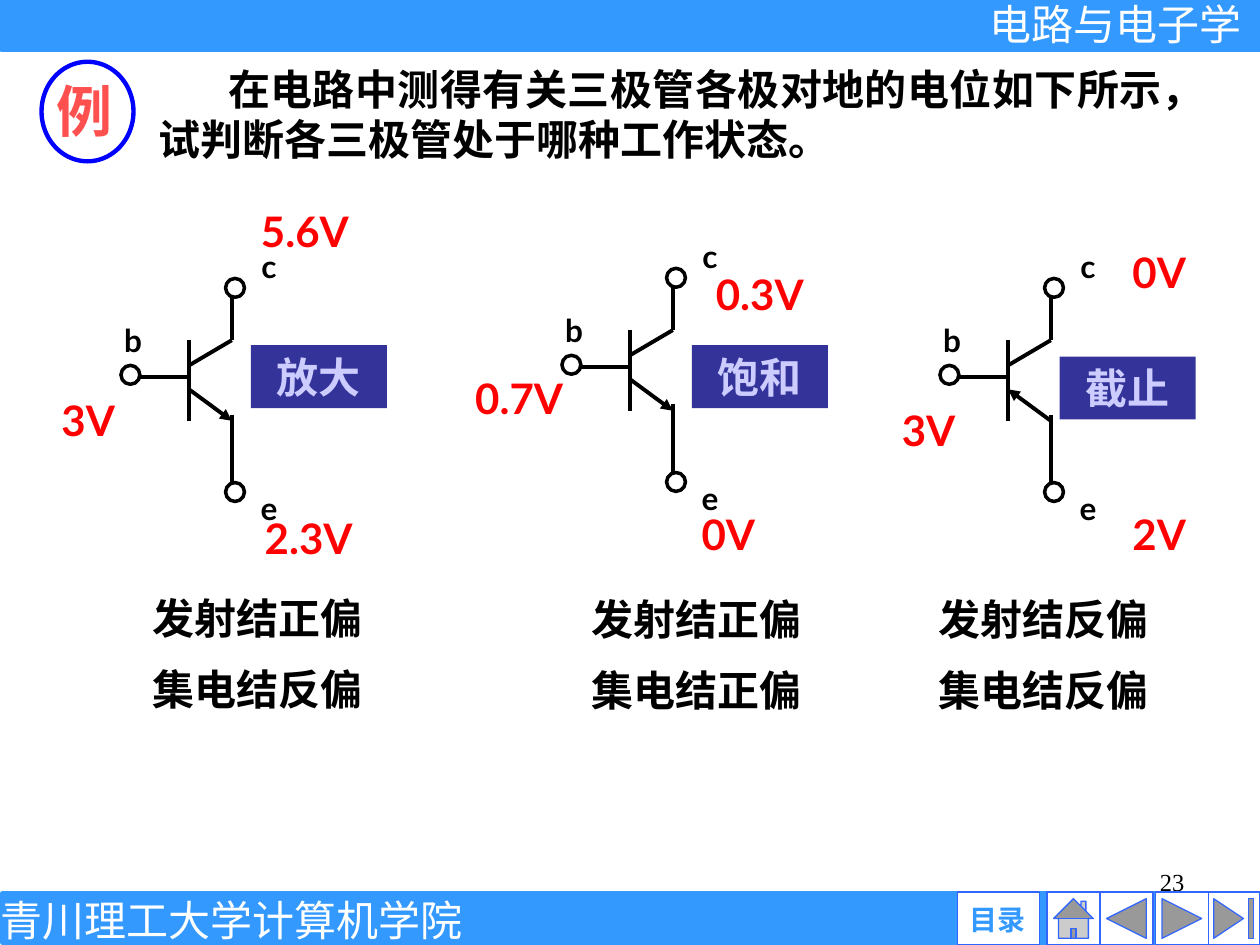
from lxml import etree
from pptx import Presentation
from pptx.dml.color import RGBColor
from pptx.enum import shapes as sh, text as tx
from pptx.oxml import ns
from pptx.util import Inches, Pt

BLACK = RGBColor(0x00, 0x00, 0x00)
WHITE = RGBColor(0xFF, 0xFF, 0xFF)
RED = RGBColor(0xFF, 0x00, 0x00)
CORAL = RGBColor(0xFF, 0x50, 0x50)
RING_BLUE = RGBColor(0x00, 0x00, 0xFF)
BAR_BLUE = RGBColor(0x33, 0x99, 0xFF)
BUTTON_BLUE = RGBColor(0x33, 0x66, 0xFF)
INDIGO = RGBColor(0x33, 0x33, 0x99)
LAVENDER = RGBColor(0xCC, 0xCC, 0xFF)
KIND = sh.MSO_SHAPE
ALIGN = tx.PP_ALIGN


def write(shape, content, size=24, color=BLACK, font="Lato", bold=True,
          align=ALIGN.CENTER, anchor=tx.MSO_ANCHOR.TOP, inset=None, wrap=True):
    """Fill a shape with one paragraph per line of content."""
    frame = shape.text_frame
    frame.text = content
    frame.word_wrap = wrap
    frame.auto_size = tx.MSO_AUTO_SIZE.NONE
    frame.vertical_anchor = anchor
    if inset is not None:
        frame.margin_left = frame.margin_right = Inches(inset)
        frame.margin_top = frame.margin_bottom = Inches(inset)
    for index, paragraph in enumerate(frame.paragraphs):
        paragraph.alignment = align
        paragraph.space_before = Pt(12 if index else 0)
        for run in paragraph.runs:
            run.font.size, run.font.bold, run.font.name = Pt(size), bold, font
            run.font.color.rgb = color


def draw(parent, kind, box, fill, line=None, width=1):
    shape = parent.add_shape(kind, *map(Inches, box))
    shape.shadow.inherit = False
    shape.fill.solid()
    shape.fill.fore_color.rgb = fill
    if line is None:
        shape.line.fill.background()
    else:
        shape.line.color.rgb = line
        shape.line.width = Pt(width)
    return shape


prs = Presentation()
prs.slide_width, prs.slide_height = Inches(10), Inches(7.5)
slide = prs.slides.add_slide(prs.slide_layouts[5])
shapes = slide.shapes

# Header, footer and navigation
page_number = shapes.add_textbox(*map(Inches, (7.17, 6.83, 2.33, 0.52)))
write(page_number, "23", size=14, font="Times New Roman", bold=False, align=ALIGN.RIGHT)
draw(shapes, KIND.RECTANGLE, (0.02, 7.09, 9.99, 0.39), BAR_BLUE, BAR_BLUE, 3)
draw(shapes, KIND.RECTANGLE, (0.01, 0, 9.99, 0.39), BAR_BLUE, BAR_BLUE, 3)

for kind, left, width in (
    (KIND.ACTION_BUTTON_END, 9.58, 0.42),
    (KIND.ACTION_BUTTON_FORWARD_OR_NEXT, 9.17, 0.42),
    (KIND.ACTION_BUTTON_BACK_OR_PREVIOUS, 8.73, 0.42),
    (KIND.ACTION_BUTTON_HOME, 8.31, 0.42),
    (KIND.ACTION_BUTTON_CUSTOM, 7.6, 0.65),
):
    draw(shapes, kind, (left, 7.08, width, 0.42), WHITE, BUTTON_BLUE, 0.75)

for label, box, style in (
    ("目录", (7.6, 7.16, 0.63, 0.27), dict(size=16, color=BAR_BLUE, font="Arial")),
    ("电路与电子学", (7.63, -0.01, 2.44, 0.4),
     dict(color=WHITE, font="Arial", bold=False)),
    ("青川理工大学计算机学院", (0, 7.1, 3.67, 0.4),
     dict(color=WHITE, font="Times New Roman", bold=False, wrap=False)),
):
    write(shapes.add_textbox(*map(Inches, box)), label,
          anchor=tx.MSO_ANCHOR.MIDDLE, inset=0, **style)

# Question
question = shapes.title
question.left, question.top = Inches(1.16), Inches(0.45)
question.width, question.height = Inches(8.5), Inches(0.91)
write(question, "在电路中测得有关三极管各极对地的电位如下所示，试判断各三极管处于哪种工作状态。",
      align=ALIGN.JUSTIFY)
question.text_frame.paragraphs[0]._p.get_or_add_pPr().set("indent", str(Inches(0.55)))

draw(shapes, KIND.OVAL, (0.33, 0.49, 0.73, 0.79), WHITE, RING_BLUE, 2.5)
example_mark = shapes.add_textbox(*map(Inches, (0.35, 0.56, 0.63, 0.63)))
write(example_mark, "例", size=32, color=CORAL, font="Times New Roman", align=ALIGN.LEFT)

# Transistor symbol, measured from the top of its base bar
EMITTER = (0, 0.39, 0.34, 0.64)
WIRES = (
    (0, 0, 0, 0.64),
    (0, 0.2, 0.34, 0),
    EMITTER,
    (0.34, 0, 0.34, -0.44),
    (-0.45, 0.29, 0, 0.29),
    (0.34, 0.59, 0.34, 1.18),
)
TERMINALS = (  # letter, letter box corner, circle corner
    ("e", (0.24, 1.13), (0.29, 1.13)),
    ("c", (0.24, -0.79), (0.29, -0.49)),
    ("b", (-0.84, -0.2), (-0.54, 0.2)),
)
CASES = (  # bar top, arrow end, voltages, state, junction biases
    ((1.5, 2.7), "tailEnd",
     (("3V", 0.16, 3.08), ("5.6V", 1.88, 1.58), ("2.3V", 1.91, 4.02)),
     ("放大", 1.99, 2.74), ("发射结正偏\n集电结反偏", 1.0, 4.65)),
    ((5, 2.62), "tailEnd",
     (("0.7V", 3.58, 2.91), ("0.3V", 5.49, 2.08), ("0V", 5.24, 3.99)),
     ("饱和", 5.49, 2.74), ("发射结正偏\n集电结正偏", 4.49, 4.66)),
    ((8, 2.7), "headEnd",
     (("3V", 6.83, 3.16), ("2V", 8.66, 3.99), ("0V", 8.66, 1.91)),
     ("截止", 8.41, 2.83), ("发射结反偏\n集电结反偏", 7.24, 4.66)),
)

for (x, y), arrow_end, voltages, state, biases in CASES:
    symbol = shapes.add_group_shape().shapes
    for wire in WIRES:
        x1, y1, x2, y2 = wire
        line = symbol.add_connector(
            sh.MSO_CONNECTOR.STRAIGHT,
            *map(Inches, (x + x1, y + y1, x + x2, y + y2)))
        line.line.color.rgb = BLACK
        line.line.width = Pt(2.25)
        if wire == EMITTER:
            etree.SubElement(line.line._get_or_add_ln(), ns.qn("a:" + arrow_end),
                             type="triangle")
        etree.SubElement(line._element.spPr, ns.qn("a:effectLst"))
    for letter, (dx, dy), (circle_dx, circle_dy) in TERMINALS:
        write(symbol.add_textbox(*map(Inches, (x + dx, y + dy, 0.79, 0.4))),
              letter, size=18)
        draw(symbol, KIND.OVAL, (x + circle_dx, y + circle_dy, 0.15, 0.15),
             WHITE, BLACK, 2)

    for voltage, left, top in voltages:
        write(shapes.add_textbox(*map(Inches, (left, top, 1.08, 0.5))),
              voltage, color=RED)
    name, left, top = state
    write(draw(shapes, KIND.RECTANGLE, (left, top, 1.08, 0.5), INDIGO),
          name, color=LAVENDER)
    junctions, left, top = biases
    write(shapes.add_textbox(*map(Inches, (left, top, 2.08, 1.1))), junctions)

prs.save("out.pptx")
